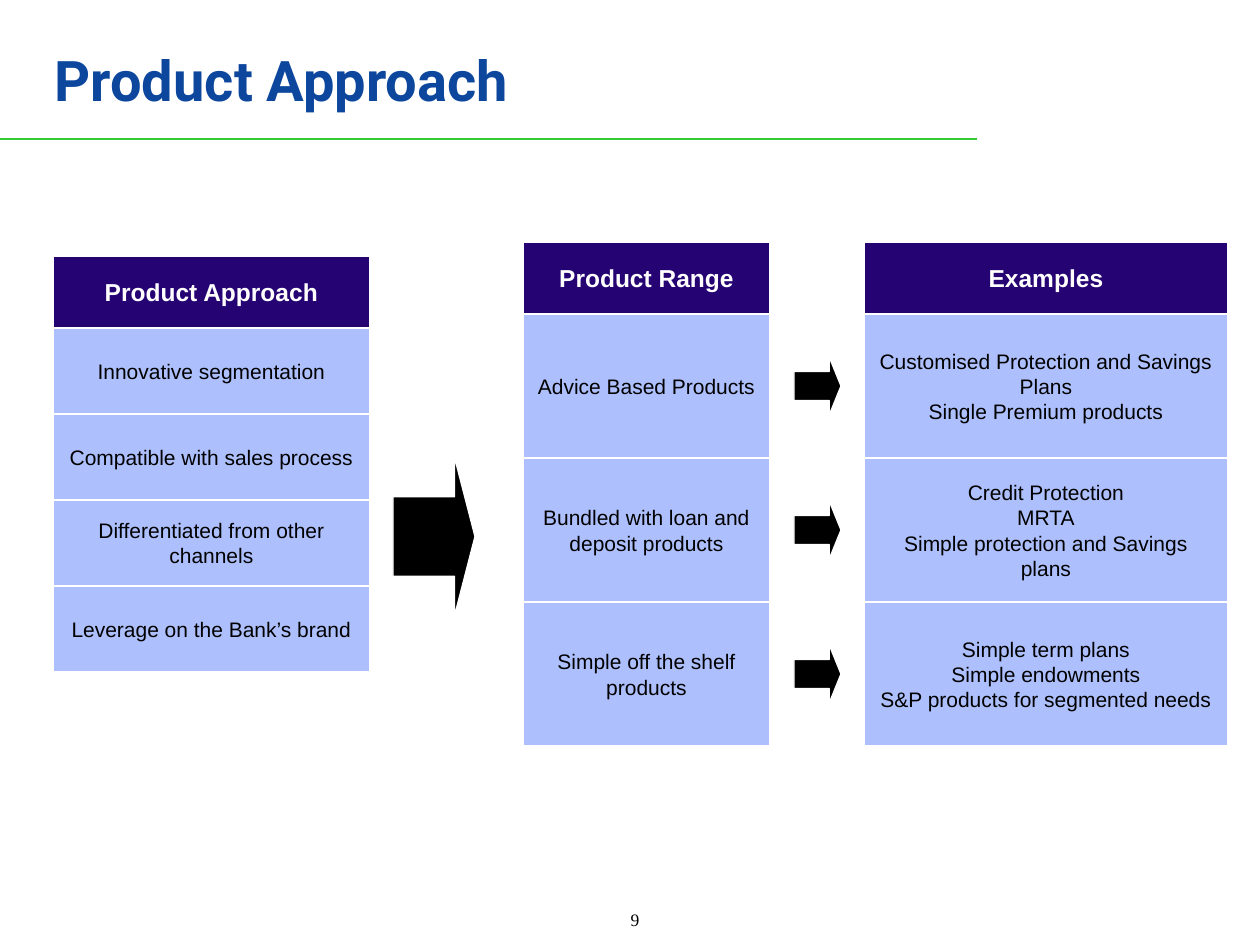
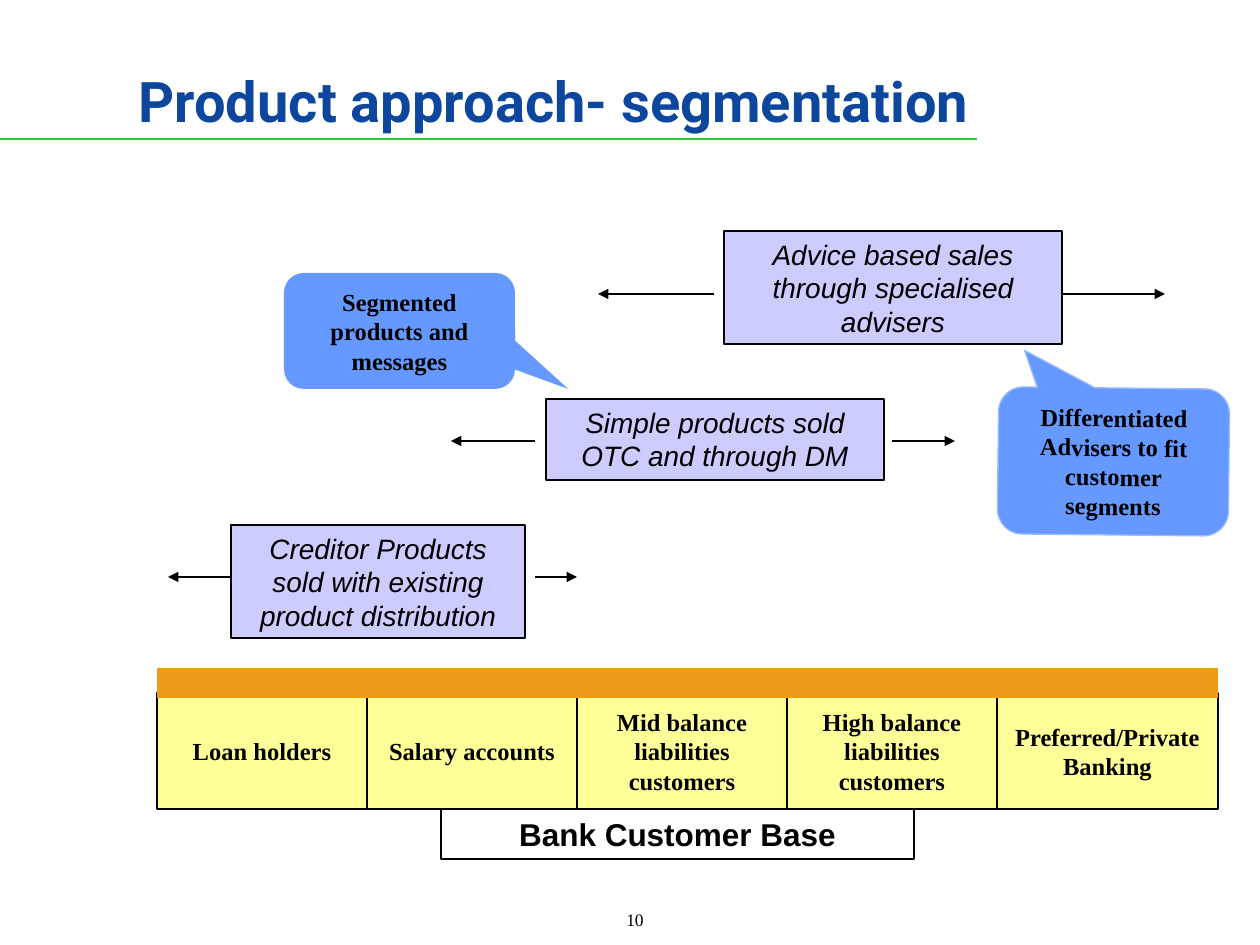
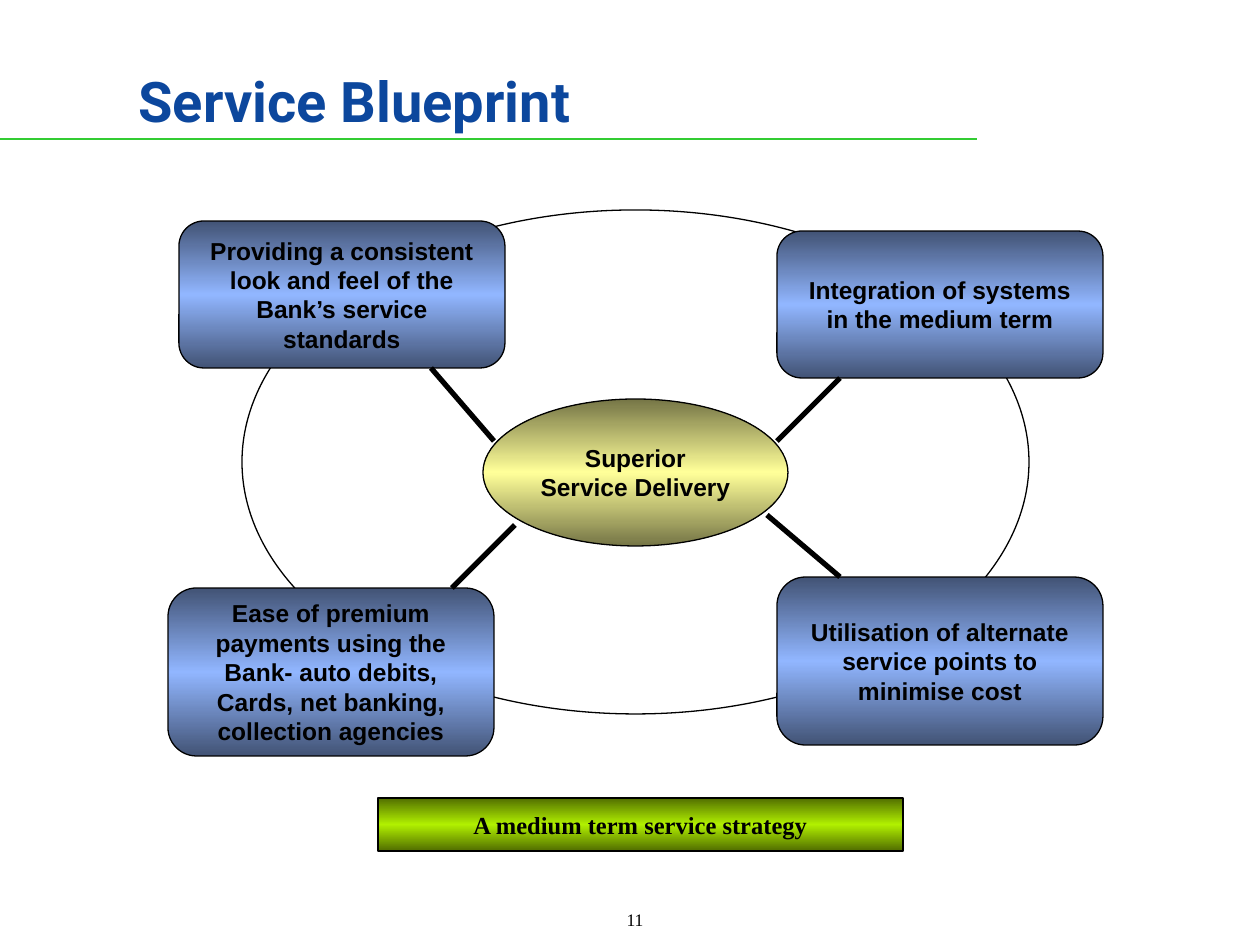
from copy import deepcopy

from pptx import Presentation
from pptx.dml.color import RGBColor
from pptx.enum.shapes import MSO_CONNECTOR, MSO_SHAPE
from pptx.enum.text import MSO_ANCHOR, MSO_AUTO_SIZE, PP_ALIGN
from pptx.oxml.ns import qn
from pptx.oxml.xmlchemy import OxmlElement
from pptx.util import Emu, Pt

PX_PER_INCH = 126
EMU_PER_INCH = 914400
TITLE_ONLY = 5

RECT = MSO_SHAPE.RECTANGLE
OVAL = MSO_SHAPE.OVAL
ROUNDED = MSO_SHAPE.ROUNDED_RECTANGLE
ARROW = MSO_SHAPE.RIGHT_ARROW
CALLOUT = MSO_SHAPE.ROUNDED_RECTANGULAR_CALLOUT
STRAIGHT = MSO_CONNECTOR.STRAIGHT
TOP = MSO_ANCHOR.TOP
MIDDLE = MSO_ANCHOR.MIDDLE
LEFT = PP_ALIGN.LEFT
CENTER = PP_ALIGN.CENTER
NO_AUTOFIT = MSO_AUTO_SIZE.NONE

COLORS = {
    "title": "0C479D",
    "rule": "33CC33",
    "black": "000000",
    "white": "FFFFFF",
    "heading": "260373",
    "row": "ADC0FD",
    "channel": "CCCCFF",
    "segment": "FFFF99",
    "band": "ED9C19",
    "callout": "6699FF",
    "callout_edge": "99BBFF",
    "olive": "757546",
    "slate": "425375",
    "sky": "91B6FF",
    "moss": "516E00",
    "lime": "B1F000",
}

GOLD_GLOW = ("olive", "segment", "olive")
BLUE_GLOW = ("slate", "sky", "slate")
GREEN_GLOW = ("moss", "lime", "moss")

FONTS = {
    "title": {"name": "Roboto", "size": Pt(32), "bold": True},
    "number": {"name": "Times New Roman", "size": Pt(10)},
    "heading": {"name": "Arial", "size": Pt(14), "bold": True},
    "row": {"name": "Arial", "size": Pt(12)},
    "channel": {"name": "Arial", "size": Pt(16), "italic": True},
    "base": {"name": "Arial", "size": Pt(18), "bold": True},
    "serif": {"name": "Times New Roman", "size": Pt(14), "bold": True},
}


def px(length):
    return Emu(round(length * EMU_PER_INCH / PX_PER_INCH))


def rgb(color):
    return RGBColor.from_string(COLORS[color])


def write(frame, text, font, color="black", anchor=MIDDLE, align=CENTER):
    settings = {"word_wrap": True, "auto_size": NO_AUTOFIT, "vertical_anchor": anchor}
    for attribute, value in settings.items():
        setattr(frame, attribute, value)
    for index, line in enumerate(text.split("\n")):
        paragraph = frame.add_paragraph() if index else frame.paragraphs[0]
        paragraph.alignment = align
        run = paragraph.add_run()
        run.text = line
        for attribute, value in FONTS[font].items():
            setattr(run.font, attribute, value)
        run.font.color.rgb = rgb(color)


def paint_gradient(shape, colors):
    shape.fill.gradient()
    shape.fill.gradient_angle = 270
    stops = shape._element.spPr.find(".//" + qn("a:gsLst"))
    stops.insert(1, deepcopy(stops[0]))
    for stop, position, color in zip(shape.fill.gradient_stops, (0, 0.5, 1), colors):
        stop.position = position
        stop.color.rgb = rgb(color)


def add_box(slide, kind, place, fill=None, edge="black", edge_width=0.75, adjust=()):
    shape = slide.shapes.add_shape(kind, *map(px, place))
    shape.shadow.inherit = False
    for index, value in enumerate(adjust):
        shape.adjustments[index] = value
    if isinstance(fill, tuple):
        paint_gradient(shape, fill)
    elif fill:
        shape.fill.solid()
        shape.fill.fore_color.rgb = rgb(fill)
    else:
        shape.fill.background()
    if edge:
        shape.line.color.rgb = rgb(edge)
        shape.line.width = Pt(edge_width)
    else:
        shape.line.fill.background()
    return shape


def add_line(slide, start, end, color="black", width=1, arrow=False):
    line = slide.shapes.add_connector(STRAIGHT, *map(px, start + end))
    line.line.color.rgb = rgb(color)
    line.line.width = Pt(width)
    if arrow:
        head = OxmlElement("a:tailEnd")
        head.set("type", "triangle")
        line.line._get_or_add_ln().append(head)
    line._element.spPr.append(OxmlElement("a:effectLst"))


def add_slide(deck, title, title_place, number):
    slide = deck.slides.add_slide(deck.slide_layouts[TITLE_ONLY])
    add_line(slide, (0, 139), (977, 139), "rule")
    heading = slide.shapes.title
    for side, length in zip(("left", "top", "width", "height"), title_place):
        setattr(heading, side, px(length))
    write(heading.text_frame, title, "title", "title", align=LEFT)
    page = slide.shapes.add_textbox(*map(px, (525, 903, 220, 42)))
    write(page.text_frame, str(number), "number", anchor=TOP)
    return slide


def add_column(slide, left, top, width, row_height, heading, rows):
    heading_height = 72
    header = add_box(slide, RECT, (left, top, width, heading_height), "heading", "white")
    write(header.text_frame, heading, "heading", "white")
    for index, text in enumerate(rows):
        row_top = top + heading_height + index * row_height
        row = add_box(slide, RECT, (left, row_top, width, row_height), "row", "white")
        write(row.text_frame, text, "row")


def add_block_arrow(slide, place):
    add_box(slide, ARROW, place, "black", "white", adjust=(0.5, 0.25))


def add_channel(slide, place, text, arrow_y, left_arrow, right_arrow):
    box = add_box(slide, RECT, place, "channel", edge_width=1)
    write(box.text_frame, text, "channel", anchor=TOP)
    for start, end in (left_arrow, right_arrow):
        add_line(slide, (start, arrow_y), (end, arrow_y), arrow=True)


def add_callout(slide, place, text, tip, edge=None, rotation=0):
    callout = add_box(slide, CALLOUT, place, "callout", edge, adjust=(*tip, 0.17))
    callout.rotation = rotation
    write(callout.text_frame, text, "serif")


def build_approach(deck):
    slide = add_slide(deck, "Product Approach", (42, 0, 955, 158), 9)
    add_column(slide, 53, 256, 317, 86, "Product Approach", [
        "Innovative segmentation",
        "Compatible with sales process",
        "Differentiated from other channels",
        "Leverage on the Bank’s brand",
    ])
    range_top, product_height = 242, 144
    add_column(slide, 523, range_top, 247, product_height, "Product Range", [
        "Advice Based Products",
        "Bundled with loan and deposit products",
        "Simple off the shelf products",
    ])
    add_column(slide, 864, range_top, 364, product_height, "Examples", [
        "Customised Protection and Savings Plans\nSingle Premium products",
        "Credit Protection\nMRTA\nSimple protection and Savings plans",
        "Simple term plans\nSimple endowments\nS&P products for segmented needs",
    ])
    add_block_arrow(slide, (393, 457, 82, 159))
    for product in range(3):
        add_block_arrow(slide, (794, 357 + product * product_height, 47, 58))


def build_segmentation(deck):
    slide = add_slide(deck, "Product approach- segmentation", (126, 21, 914, 158), 10)
    add_channel(slide, (724, 231, 338, 113), "Advice based sales through specialised advisers",
                294, (714, 598), (1061, 1165))
    add_channel(slide, (546, 399, 338, 81), "Simple products sold OTC and through DM",
                441, (535, 451), (892, 955))
    add_channel(slide, (231, 525, 294, 113),
                "Creditor Products sold with existing product distribution",
                577, (231, 168), (535, 577))

    base = add_box(slide, RECT, (441, 809, 473, 50))
    write(base.text_frame, "Bank Customer Base", "base")
    segments = [
        ("Loan holders", 210),
        ("Salary accounts", 210),
        ("Mid balance liabilities customers", 210),
        ("High balance liabilities customers", 210),
        ("Preferred/Private Banking", 221),
    ]
    left = 157
    for text, width in segments:
        segment = add_box(slide, RECT, (left, 693, width, 116), "segment")
        write(segment.text_frame, text, "serif")
        left += width
    add_line(slide, (157, 683), (left, 683), "band", 17)

    add_callout(slide, (998, 388, 231, 147), "Differentiated Advisers to fit customer segments",
                (-0.39, -0.75), "callout_edge", 0.6)
    add_callout(slide, (284, 273, 231, 116), "Segmented products and messages", (0.73, 0.5))


def build_blueprint(deck):
    slide = add_slide(deck, "Service Blueprint", (126, 21, 914, 158), 11)
    add_box(slide, OVAL, (242, 210, 787, 504))
    delivery = add_box(slide, OVAL, (483, 399, 305, 147), GOLD_GLOW)
    write(delivery.text_frame, "Superior Service Delivery", "heading")
    pillars = [
        (777, 231, 147, "Integration of systems in the medium term"),
        (168, 588, 168, "Ease of premium payments using the Bank- auto debits, "
                        "Cards, net banking, collection agencies"),
        (179, 221, 147, "Providing a consistent look and feel of the Bank’s service standards"),
        (777, 577, 168, "Utilisation of alternate service points to minimise cost"),
    ]
    for left, top, height, text in pillars:
        pillar = add_box(slide, ROUNDED, (left, top, 326, height), BLUE_GLOW, adjust=(0.17,))
        write(pillar.text_frame, text, "heading")
    spokes = [
        ((840, 378), (777, 441)),
        ((431, 368), (494, 441)),
        ((515, 525), (452, 588)),
        ((767, 515), (840, 577)),
    ]
    for start, end in spokes:
        add_line(slide, start, end, width=3)
    strategy = add_box(slide, RECT, (378, 798, 525, 53), GREEN_GLOW)
    write(strategy.text_frame, "A medium term service strategy", "serif")


def main():
    deck = Presentation()
    deck.slide_width, deck.slide_height = px(1260), px(945)
    build_approach(deck)
    build_segmentation(deck)
    build_blueprint(deck)
    deck.save("out.pptx")


if __name__ == "__main__":
    main()
